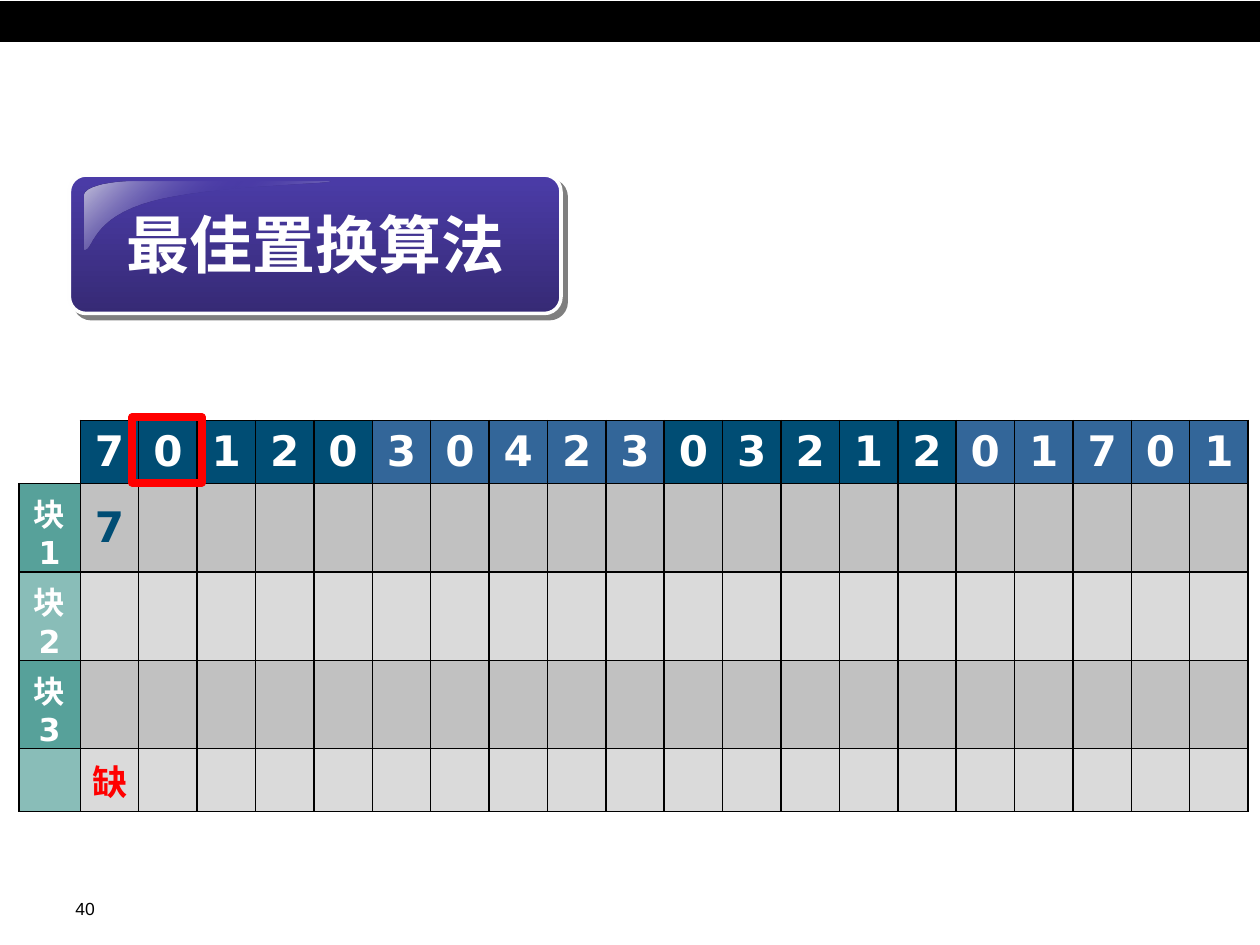
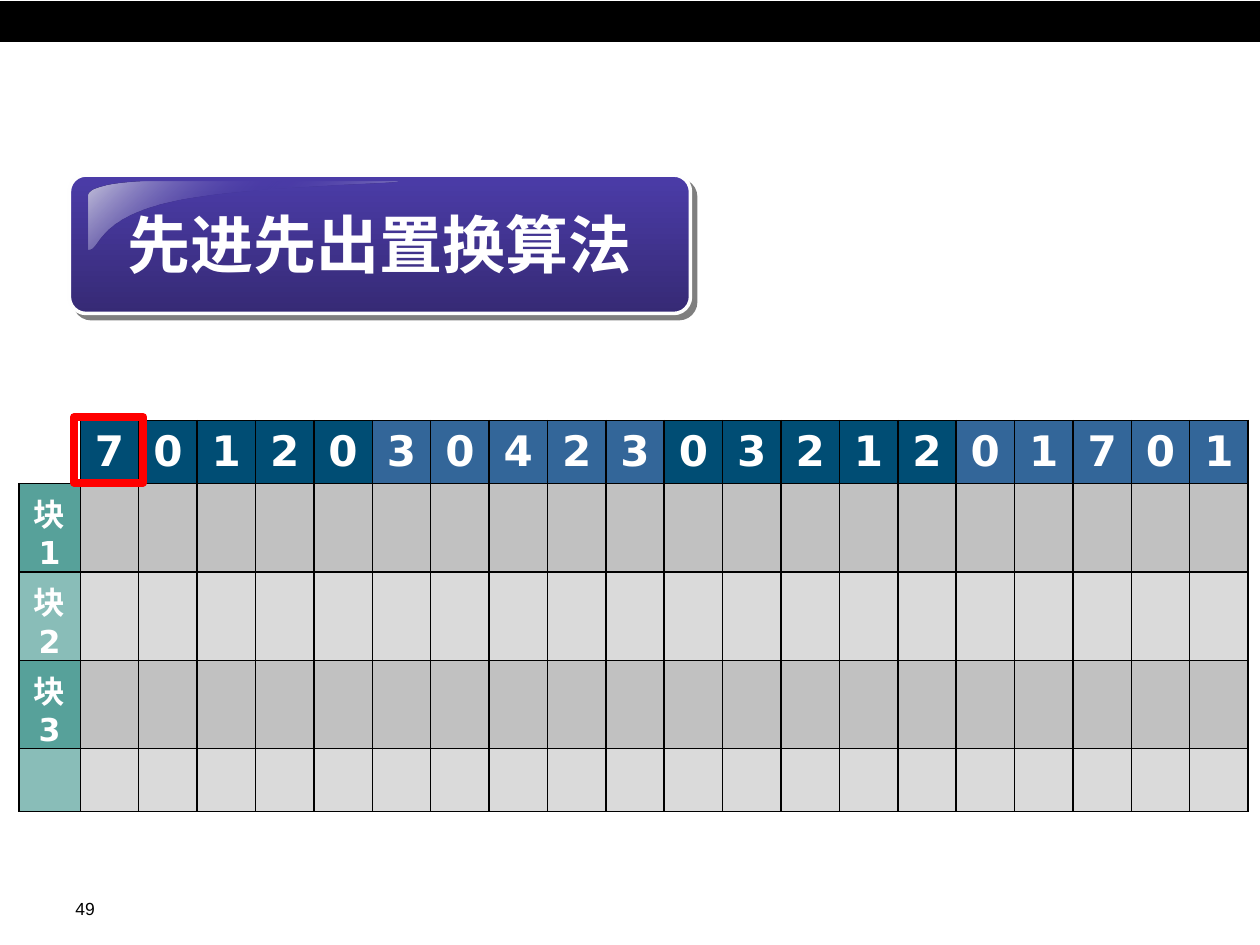
"""Build two slides on page replacement: optimal and first-in-first-out."""
from lxml.etree import SubElement
from pptx import Presentation
from pptx.dml.color import RGBColor
from pptx.enum.shapes import MSO_SHAPE
from pptx.enum.text import MSO_ANCHOR, MSO_AUTO_SIZE, PP_ALIGN
from pptx.oxml.ns import qn
from pptx.util import Cm, Pt

COLORS = {
    "black": "000000", "white": "FFFFFF", "rim": "FEFEFE",
    "plate_top": "4B3CA8", "plate_bottom": "362A75", "gloss": "C4C2DA",
    "page_dark": "004D74", "page_light": "336699",
    "block": "57A19A", "frame": "B2B2B2", "red": "FF0000",
}
PAGES = "70120304230321201701"
BLOCKS = ["块1", "块2", "块3", ""]
ROW_HEIGHTS = [1.27, 1.78, 1.78, 1.78, 1.27]
TABLE_LEFT, TABLE_TOP, TABLE_WIDTH = 0.38, 8.48, 24.79
BLOCK_WIDTH = 1.24
PAGE_WIDTH = (TABLE_WIDTH - BLOCK_WIDTH) / len(PAGES)
PLATE_LEFT, PLATE_TOP, PLATE_HEIGHT = 1.4, 3.53, 2.79
GLOSS_START = (0.13, 0.05)
GLOSS_CURVES = [
    [(0.08, 0.05), (0.03, 0.09), (0.03, 0.15)],
    [(0.03, 0.29), (0.03, 0.41), (0.03, 0.54)],
    [(0.05, 0.55), (0.04, 0.31), (0.17, 0.19)],
    [(0.29, 0.08), (0.53, 0.07), (0.53, 0.05)],
]


def color(name):
    return RGBColor.from_string(COLORS[name])


def write(text_frame, text, size, tint="white", font="Arial", bold=True,
          align=PP_ALIGN.CENTER, before=0):
    paragraph = text_frame.paragraphs[0]
    paragraph.alignment = align
    paragraph.space_before = Pt(before)
    run = paragraph.add_run()
    run.text = text
    run.font.size, run.font.bold, run.font.name = Pt(size), bold, font
    run.font.color.rgb = color(tint)


def add_color(parent, name, alpha=100):
    tint = SubElement(parent, qn("a:srgbClr"), val=COLORS[name])
    if alpha < 100:
        SubElement(tint, qn("a:alpha"), val=str(alpha * 1000))


def paint_gradient(shape, stops, angle):
    shape.fill.gradient()
    gradient = shape._element.spPr.find(qn("a:gradFill"))
    for child in list(gradient):
        gradient.remove(child)
    stop_list = SubElement(gradient, qn("a:gsLst"))
    for position, name, alpha in stops:
        stop = SubElement(stop_list, qn("a:gs"), pos=str(position * 1000))
        add_color(stop, name, alpha)
    SubElement(gradient, qn("a:lin"), ang=str(angle * 60000), scaled="0")


def add_box(slide, kind, left, top, width, height, line, line_width, fill=None):
    box = slide.shapes.add_shape(kind, Cm(left), Cm(top), Cm(width), Cm(height))
    box.shadow.inherit = False
    if fill:
        box.fill.solid()
        box.fill.fore_color.rgb = color(fill)
    else:
        box.fill.background()
    box.line.color.rgb = color(line)
    box.line.width = Pt(line_width)
    return box


def add_master_band(prs, slide):
    band = add_box(slide, MSO_SHAPE.RECTANGLE, 0, 0.03, 25.4, 0.81,
                   "black", 0.75, fill="black")._element
    band.nvSpPr.cNvPr.id = 20
    prs.slide_master.shapes._spTree.append(band)


def bezier(start, first, second, end, steps=16):
    for step in range(1, steps + 1):
        t = step / steps
        u = 1 - t
        yield tuple(u**3 * a + 3 * u * u * t * b + 3 * u * t * t * c + t**3 * d
                    for a, b, c, d in zip(start, first, second, end))


def add_gloss(slide, width):
    def place(point):
        return (Cm(PLATE_LEFT + point[0] * width),
                Cm(PLATE_TOP + point[1] * PLATE_HEIGHT))

    builder = slide.shapes.build_freeform(*place(GLOSS_START))
    start, outline = GLOSS_START, []
    for curve in GLOSS_CURVES:
        outline += [place(point) for point in bezier(start, *curve)]
        start = curve[-1]
    builder.add_line_segments(outline, close=True)
    gloss = builder.convert_to_shape()
    gloss.shadow.inherit = False
    gloss.line.fill.background()
    paint_gradient(gloss, [(0, "gloss", 100), (50, "plate_top", 0),
                           (100, "gloss", 100)], 45)


def add_title_plate(slide, text, width):
    plate = add_box(slide, MSO_SHAPE.ROUNDED_RECTANGLE, PLATE_LEFT, PLATE_TOP,
                    width, PLATE_HEIGHT, "rim", 2)
    plate.adjustments[0] = 0.12
    paint_gradient(plate, [(0, "plate_top", 100), (100, "plate_bottom", 100)], 90)
    effects = plate._element.spPr.find(qn("a:effectLst"))
    shadow = SubElement(effects, qn("a:outerShdw"), dist=str(Pt(4.2)),
                        dir="2700000", algn="ctr", rotWithShape="0")
    add_color(shadow, "black", 50)
    add_gloss(slide, width)

    title = slide.shapes.title
    title.left, title.top = Cm(1.63), Cm(4.01)
    title.width, title.height = Cm(width - 0.46), Cm(1.78)
    title.text_frame.auto_size = MSO_AUTO_SIZE.NONE
    title.text_frame.vertical_anchor = MSO_ANCHOR.MIDDLE
    write(title.text_frame, text, 36)
    slide.shapes._spTree.append(title._element)


def format_cell(cell, fill=None, alpha=100, sides="LRTB"):
    properties = cell._tc.get_or_add_tcPr()
    for side in sides:
        border = SubElement(properties, qn(f"a:ln{side}"), w=str(Pt(1)))
        add_color(SubElement(border, qn("a:solidFill")), "black")
    if fill:
        add_color(SubElement(properties, qn("a:solidFill")), fill, alpha)
    else:
        cell.fill.background()
    cell.vertical_anchor = MSO_ANCHOR.MIDDLE


def write_cell(cell, text, size, tint="white"):
    write(cell.text_frame, text, size, tint, font="DejaVu Sans",
          before=size * 0.2)


def add_page_table(slide, entries):
    table = slide.shapes.add_table(
        len(ROW_HEIGHTS), len(PAGES) + 1, Cm(TABLE_LEFT), Cm(TABLE_TOP),
        Cm(TABLE_WIDTH), Cm(sum(ROW_HEIGHTS))).table
    table.first_row = table.horz_banding = False
    for row, height in zip(table.rows, ROW_HEIGHTS):
        row.height = Cm(height)
    for index, column in enumerate(table.columns):
        column.width = Cm(PAGE_WIDTH if index else BLOCK_WIDTH)

    format_cell(table.cell(0, 0), sides="RB")
    for index, page in enumerate(PAGES):
        cell = table.cell(0, index + 1)
        format_cell(cell, "page_light" if index // 5 % 2 else "page_dark")
        write_cell(cell, page, 24)
    for row, block in enumerate(BLOCKS, start=1):
        block_alpha, frame_alpha = (100, 80) if row % 2 else (70, 48)
        format_cell(table.cell(row, 0), "block", block_alpha)
        if block:
            write_cell(table.cell(row, 0), block, 18)
        for column in range(1, len(PAGES) + 1):
            format_cell(table.cell(row, column), "frame", frame_alpha)
    for (row, column), entry in entries.items():
        write_cell(table.cell(row, column), *entry)


def add_current_page_marker(slide, index):
    left = TABLE_LEFT + BLOCK_WIDTH - 0.13 + index * PAGE_WIDTH
    add_box(slide, MSO_SHAPE.RECTANGLE, left, 8.41, 1.4, 1.32, "red", 4.5)


def add_slide_number(slide, number):
    footer = slide.shapes.add_textbox(Cm(1.27), Cm(17.98), Cm(1.7), Cm(0.64))
    footer.text_frame.word_wrap = True
    write(footer.text_frame, number, 10, "black", bold=False,
          align=PP_ALIGN.LEFT)


def add_algorithm_slide(prs, title, plate_width, number, current, entries):
    slide = prs.slides.add_slide(prs.slide_layouts[5])
    add_slide_number(slide, number)
    add_page_table(slide, entries)
    add_title_plate(slide, title, plate_width)
    add_current_page_marker(slide, current)
    return slide


def main():
    prs = Presentation()
    prs.slide_width, prs.slide_height = Cm(25.4), Cm(19.05)
    first_fault = {(1, 1): ("7", 24, "page_dark"), (4, 1): ("缺", 20, "red")}
    optimal = add_algorithm_slide(prs, "最佳置换算法", 9.91, "40", 1, first_fault)
    add_master_band(prs, optimal)
    add_algorithm_slide(prs, "先进先出置换算法", 12.52, "49", 0, {})
    prs.save("out.pptx")


if __name__ == "__main__":
    main()
